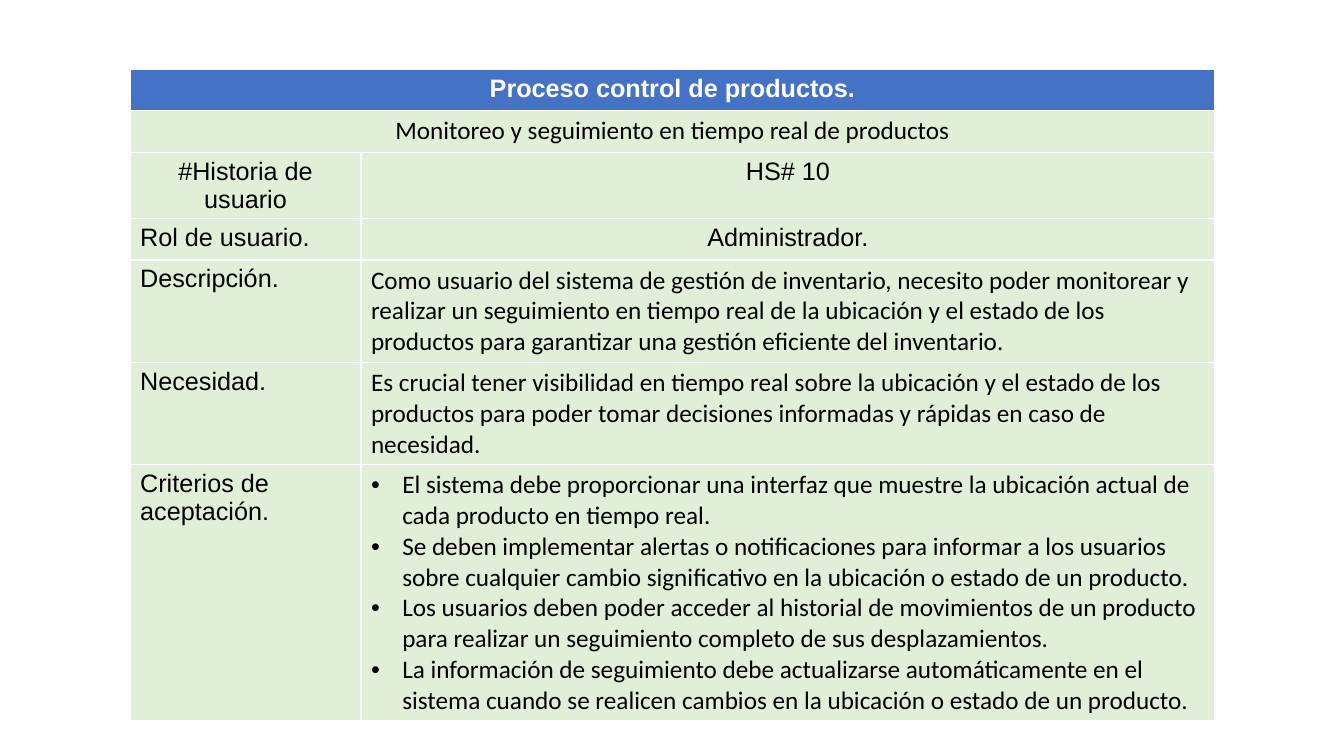
from lxml.etree import SubElement
from pptx import Presentation
from pptx.dml.color import RGBColor
from pptx.enum.text import PP_ALIGN as Align
from pptx.oxml.ns import qn
from pptx.util import Inches, Pt

COLORS = {"header": "4472C4", "body": "E1EFD8", "header_text": "FFFFFF", "text": "000000"}
LABEL_FONT, PROSE_FONT = "Arial", "Calibri"
TEXT_SIZE = Pt(18)
COLUMN_WIDTHS = (2.29, 8.47)
ROW_HEIGHT = 0.41  # rows grow with their text
BULLET_INDENT = Inches(0.31)

TITLE = "Proceso control de productos."
SUBTITLE = "Monitoreo y seguimiento en tiempo real de productos"
CENTERED_FACTS = [
    ("#Historia de usuario", "HS# 10", Align.CENTER),
    ("Rol de usuario.", "Administrador.", Align.LEFT),
]
DETAILS = [
    ("Descripción.",
     "Como usuario del sistema de gestión de inventario, necesito poder monitorear y "
     "realizar un seguimiento en tiempo real de la ubicación y el estado de los "
     "productos para garantizar una gestión eficiente del inventario."),
    ("Necesidad.",
     "Es crucial tener visibilidad en tiempo real sobre la ubicación y el estado de los "
     "productos para poder tomar decisiones informadas y rápidas en caso de necesidad."),
]
CRITERIA_LABEL = "Criterios de aceptación."
CRITERIA = [
    "El sistema debe proporcionar una interfaz que muestre la ubicación actual de "
    "cada producto en tiempo real.",
    "Se deben implementar alertas o notificaciones para informar a los usuarios "
    "sobre cualquier cambio significativo en la ubicación o estado de un producto.",
    "Los usuarios deben poder acceder al historial de movimientos de un producto "
    "para realizar un seguimiento completo de sus desplazamientos.",
    "La información de seguimiento debe actualizarse automáticamente en el "
    "sistema cuando se realicen cambios en la ubicación o estado de un producto.",
]


def rgb(name):
    return RGBColor.from_string(COLORS[name])


def add_bullet(para):
    props = para._p.get_or_add_pPr()
    props.set("marL", str(BULLET_INDENT))
    props.set("indent", str(-BULLET_INDENT))
    color = SubElement(props, qn("a:buClr"))
    SubElement(color, qn("a:srgbClr"), val=COLORS["text"])
    SubElement(props, qn("a:buFont"), typeface="Arial")
    SubElement(props, qn("a:buChar"), char="•")


def fill_cell(cell, lines, font=LABEL_FONT, align=Align.LEFT, header=False, bullets=False):
    cell.fill.solid()
    cell.fill.fore_color.rgb = rgb("header" if header else "body")
    cell.text_frame.text = "\n".join(lines)
    for para in cell.text_frame.paragraphs:
        para.alignment = align
        para.font.name = font
        para.font.size = TEXT_SIZE
        para.font.bold = header
        para.font.color.rgb = rgb("header_text" if header else "text")
        if bullets:
            add_bullet(para)


def add_banner(table, row, text, **style):
    """Fill a row that spans both columns."""
    table.cell(row, 0).merge(table.cell(row, 1))
    fill_cell(table.cell(row, 0), [text], align=Align.CENTER, **style)


def add_story_table(page, left, top):
    row_count = 2 + len(CENTERED_FACTS) + len(DETAILS) + 1
    table = page.shapes.add_table(
        row_count, len(COLUMN_WIDTHS), Inches(left), Inches(top),
        Inches(sum(COLUMN_WIDTHS)), Inches(ROW_HEIGHT * row_count)).table
    for column, width in zip(table.columns, COLUMN_WIDTHS):
        column.width = Inches(width)

    add_banner(table, 0, TITLE, header=True)
    add_banner(table, 1, SUBTITLE, font=PROSE_FONT)
    for row, (label, value, align) in enumerate(CENTERED_FACTS, start=2):
        fill_cell(table.cell(row, 0), [label], align=align)
        fill_cell(table.cell(row, 1), [value], align=Align.CENTER)
    for row, (label, prose) in enumerate(DETAILS, start=2 + len(CENTERED_FACTS)):
        fill_cell(table.cell(row, 0), [label])
        fill_cell(table.cell(row, 1), [prose], font=PROSE_FONT)
    last = row_count - 1
    fill_cell(table.cell(last, 0), [CRITERIA_LABEL])
    fill_cell(table.cell(last, 1), CRITERIA, font=PROSE_FONT, bullets=True)


def main():
    deck = Presentation()
    deck.slide_width, deck.slide_height = Inches(13.33), Inches(7.5)
    page = deck.slides.add_slide(deck.slide_layouts[6])
    add_story_table(page, left=1.29, top=0.69)
    deck.save("out.pptx")


if __name__ == "__main__":
    main()
